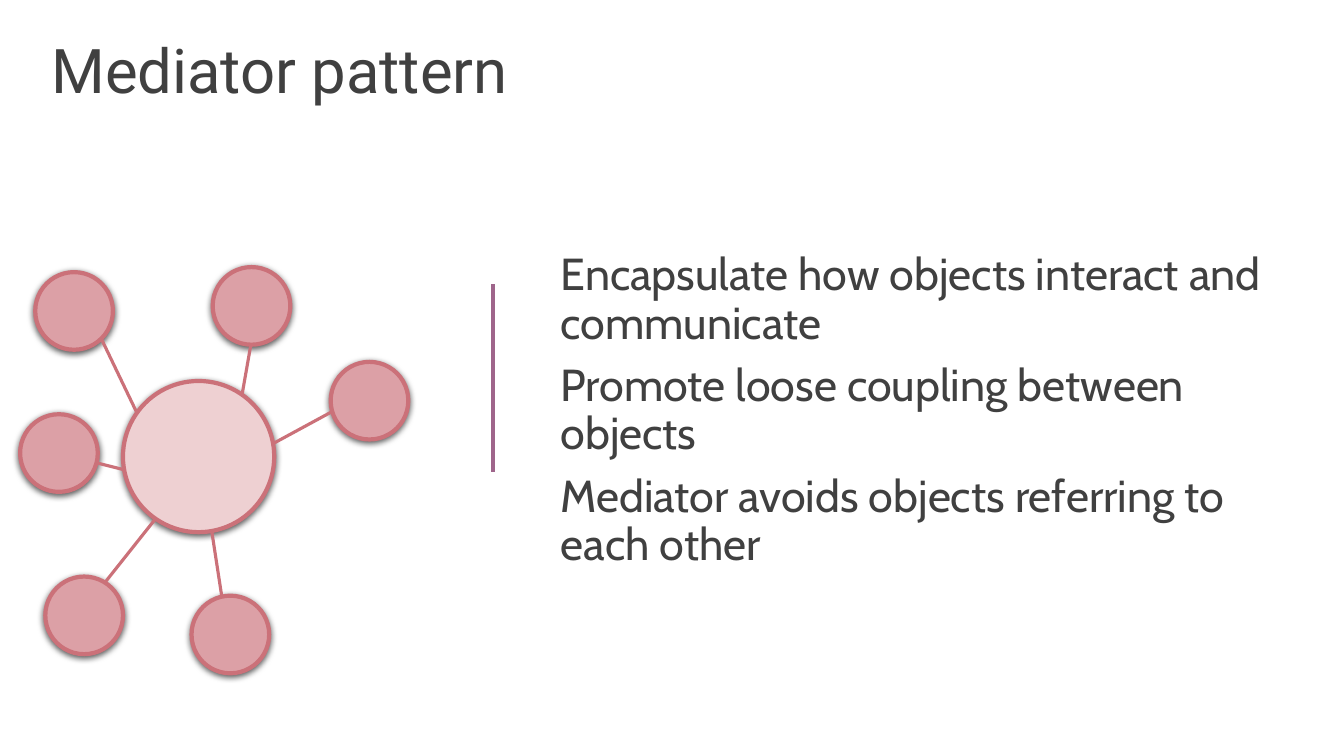
import lxml.etree
import pptx
import pptx.dml.color
import pptx.enum.shapes
import pptx.enum.text
import pptx.oxml
import pptx.oxml.ns
import pptx.util

ROSE = "CB7179"
TEXT_GREY = "404040"
EFFECT_LIST = pptx.oxml.ns.qn("a:effectLst")
SHADOW = (
    '<a:outerShdw %s blurRad="57150" dist="19050" dir="5400000" algn="ctr" rotWithShape="0">'
    '<a:srgbClr val="000000"><a:alpha val="63000"/></a:srgbClr></a:outerShdw>'
    % pptx.oxml.ns.nsdecls("a")
)


def color(hex_string):
    return pptx.dml.color.RGBColor.from_string(hex_string)


def write_text(shape, text, font="Cabin", size=32, anchor="TOP", space_before=10):
    """Write one paragraph per line of text into the shape."""
    frame = shape.text_frame
    frame.word_wrap = True
    frame.auto_size = pptx.enum.text.MSO_AUTO_SIZE.NONE
    frame.vertical_anchor = getattr(pptx.enum.text.MSO_ANCHOR, anchor)
    frame.margin_left = frame.margin_right = pptx.util.Inches(0.16)
    frame.margin_top = frame.margin_bottom = pptx.util.Inches(0.1)
    frame.text = text
    for index, paragraph in enumerate(frame.paragraphs):
        paragraph.alignment = pptx.enum.text.PP_ALIGN.LEFT
        paragraph.line_spacing = 0.9
        paragraph.space_before = pptx.util.Pt(space_before if index else 0)
        paragraph.font.name = font
        paragraph.font.size = pptx.util.Pt(size)
        paragraph.font.color.rgb = color(TEXT_GREY)


presentation = pptx.Presentation()
presentation.slide_width = pptx.util.Inches(13.33)
presentation.slide_height = pptx.util.Inches(7.5)
slide = presentation.slides.add_slide(presentation.slide_layouts[5])

# Square grid: 75 rows fill the slide height
cell = presentation.slide_height // 75

# Title
title = slide.shapes.title
title.left, title.top, title.width, title.height = (
    round(cells * cell) for cells in (3.5, 3, 125.5, 8.7)
)
write_text(title, "Mediator pattern", font="Roboto", size=44)

# Statements
statements = slide.shapes.add_textbox(
    *(round(cells * cell) for cells in (54, 13, 72.9, 55.6))
)
write_text(
    statements,
    "Encapsulate how objects interact and communicate\n"
    "Promote loose coupling between objects\n"
    "Mediator avoids objects referring to each other",
    anchor="MIDDLE",
)

# Mediator and the objects around it: left, top, diameter, fill
mediator = (12.2, 37.8, 15, "EED0D2")
object_corners = [
    (3.5, 27), (4.5, 57.2), (2, 41.1), (32.8, 35.9), (21.1, 26.5), (19, 59.1),
]
circles = [mediator] + [(left, top, 7.7, "DCA0A6") for left, top in object_corners]
for left, top, diameter, fill in circles:
    circle = slide.shapes.add_shape(
        pptx.enum.shapes.MSO_SHAPE.FLOWCHART_CONNECTOR,
        *(round(cells * cell) for cells in (left, top, diameter, diameter)),
    )
    circle.fill.solid()
    circle.fill.fore_color.rgb = color(fill)
    circle.line.color.rgb = color(ROSE)
    circle.line.width = pptx.util.Pt(3)
    circle.shadow.inherit = False
    effects = circle._element.spPr.find(EFFECT_LIST)
    effects.append(pptx.oxml.parse_xml(SHADOW))

# Divider, then the links between objects and mediator
lines = [
    (48.9, 28.2, 48.9, 46.8, "9F658B"),
    (10, 33.5, 13.6, 41, ROSE),
    (27.1, 44, 33, 40.8, ROSE),
    (24.9, 34.1, 24, 39.2, ROSE),
    (9.5, 45.9, 12.3, 46.6, ROSE),
    (21, 52.7, 22, 59.2, ROSE),
    (10.4, 57.8, 15.4, 51.5, ROSE),
]
for *ends, line_color in lines:
    connector = slide.shapes.add_connector(
        pptx.enum.shapes.MSO_CONNECTOR.STRAIGHT,
        *(round(cells * cell) for cells in ends),
    )
    connector.line.color.rgb = color(line_color)
    connector.line.width = pptx.util.Pt(2.25)
    lxml.etree.SubElement(connector._element.spPr, EFFECT_LIST)

presentation.save("out.pptx")
